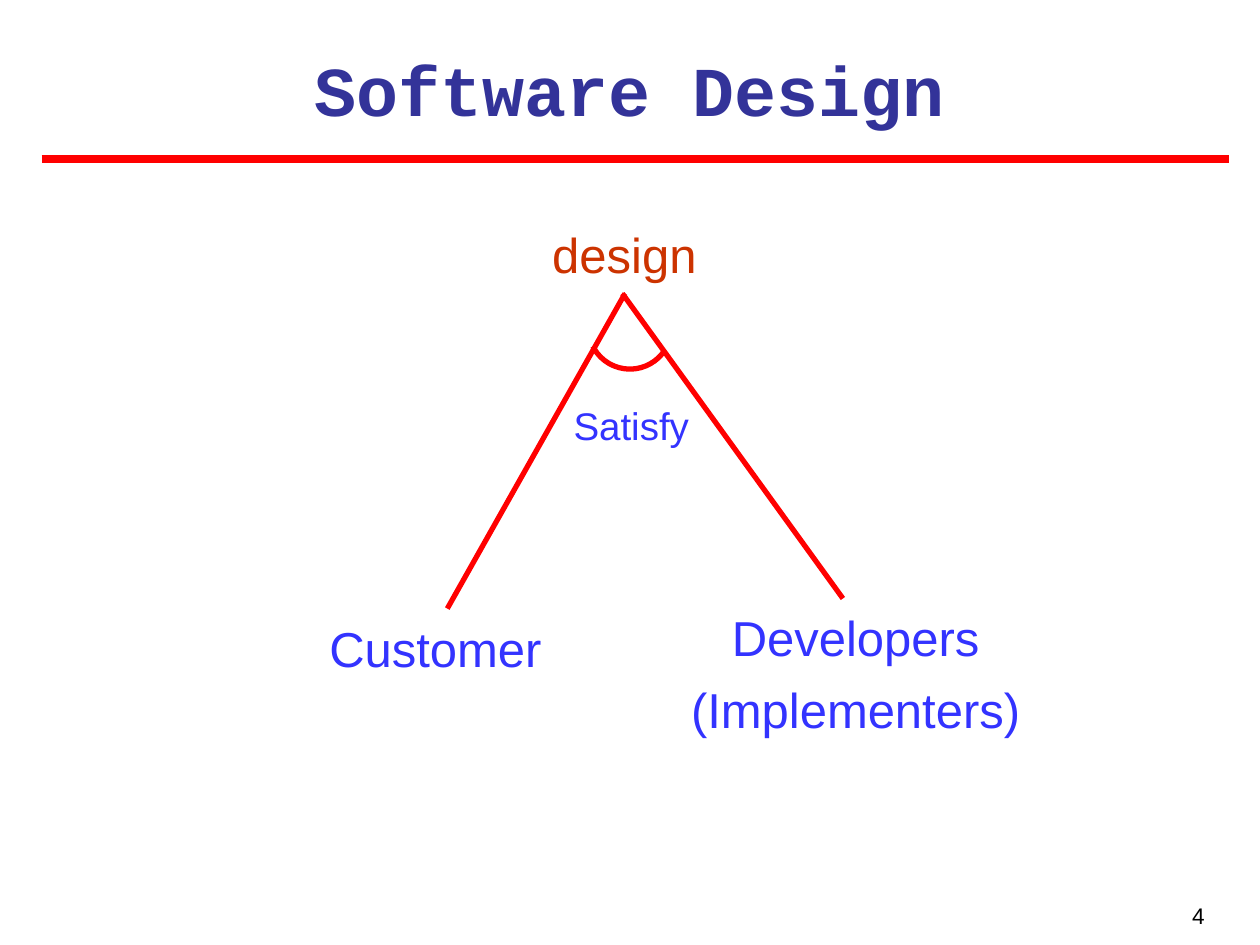
from lxml.etree import SubElement
from pptx import Presentation
from pptx.dml.color import RGBColor
from pptx.enum.shapes import MSO_CONNECTOR, MSO_SHAPE
from pptx.enum.text import MSO_ANCHOR, MSO_AUTO_SIZE, PP_ALIGN
from pptx.oxml.ns import qn
from pptx.util import Inches, Pt

RED, BLUE, NAVY, RUST, BLACK = "FF0000", "3333FF", "333399", "CC3300", "000000"

TITLE = ("Software Design", (0.33, 0.32, 9.33, 0.77))
PAGE_NUMBER = ("4", (7.33, 7.11, 2.33, 0.33))

# lines of text, (left, top, width, height), format
LABELS = [
    (["design"], (4.33, 1.78, 1.25, 0.47), dict(size=28, color=RUST)),
    (["Customer"], (2.33, 4.91, 2.25, 0.47), dict(size=28, color=BLUE)),
    (["Developers", "(Implementers)"], (5.33, 4.95, 2.92, 0.9),
     dict(size=28, color=BLUE, line_spacing=0.7, gap=17.5)),
    (["Satisfy"], (4.3, 3.19, 1.42, 0.37), dict(size=22, color=BLUE)),
]

# start, end, width in points
LINES = [
    ((0.33, 1.26), (9.75, 1.26), 4.5),
    ((4.96, 2.33), (3.55, 4.83), 3),
    ((4.94, 2.33), (6.69, 4.75), 3),
]

ARC_CENTER, ARC_RADIUS = (5, 2.6), 0.33
ARC_ANGLES = (33, 153)  # degrees, clockwise from the right


def rgb(color):
    return RGBColor.from_string(color)


def write(shape, lines, *, size, color, font="Arial", bold=False, align=PP_ALIGN.CENTER,
          margins=(0, 0), line_spacing=None, gap=0):
    """Fill a shape with one paragraph per line; gap is the space between them."""
    frame = shape.text_frame
    frame.word_wrap = True
    frame.auto_size = MSO_AUTO_SIZE.NONE
    frame.vertical_anchor = MSO_ANCHOR.TOP
    frame.margin_left = frame.margin_right = Inches(margins[0])
    frame.margin_top = frame.margin_bottom = Inches(margins[1])
    for index, line in enumerate(lines):
        para = frame.add_paragraph() if index else frame.paragraphs[0]
        para.alignment = align
        para.line_spacing = line_spacing
        para.space_before = Pt(gap if index else 0)
        span = para.add_run()
        span.text = line
        span.font.name = font
        span.font.size = Pt(size)
        span.font.bold = bold
        span.font.color.rgb = rgb(color)


def add_text(page, lines, place, **style):
    write(page.shapes.add_textbox(*map(Inches, place)), lines, **style)


def add_line(page, start, end, width):
    line = page.shapes.add_connector(MSO_CONNECTOR.STRAIGHT, *map(Inches, start + end))
    line.line.color.rgb = rgb(RED)
    line.line.width = Pt(width)
    SubElement(line._element.spPr, qn("a:effectLst"))


def add_angle_arc(page):
    left, top = (middle - ARC_RADIUS for middle in ARC_CENTER)
    side = 2 * ARC_RADIUS
    arc = page.shapes.add_shape(MSO_SHAPE.ARC, *map(Inches, (left, top, side, side)))
    for index, angle in enumerate(ARC_ANGLES):
        arc.adjustments[index] = angle * 0.6  # 60000 units a degree, scaled by 100000
    arc.shadow.inherit = False
    arc.fill.background()
    arc.line.color.rgb = rgb(RED)
    arc.line.width = Pt(3)


def main():
    deck = Presentation()
    deck.slide_width, deck.slide_height = Inches(10), Inches(7.5)
    page = deck.slides.add_slide(deck.slide_layouts[5])

    text, place = TITLE
    title = page.shapes.title
    title.left, title.top, title.width, title.height = map(Inches, place)
    write(title, [text], size=40, color=NAVY, font="Courier New", bold=True,
          margins=(0.1, 0.05))

    for line in LINES:
        add_line(page, *line)
    add_angle_arc(page)
    for lines, place, style in LABELS:
        add_text(page, lines, place, **style)

    text, place = PAGE_NUMBER
    add_text(page, [text], place, size=12.9, color=BLACK, align=PP_ALIGN.RIGHT,
             margins=(0.1, 0.05))
    deck.save("out.pptx")


if __name__ == "__main__":
    main()
